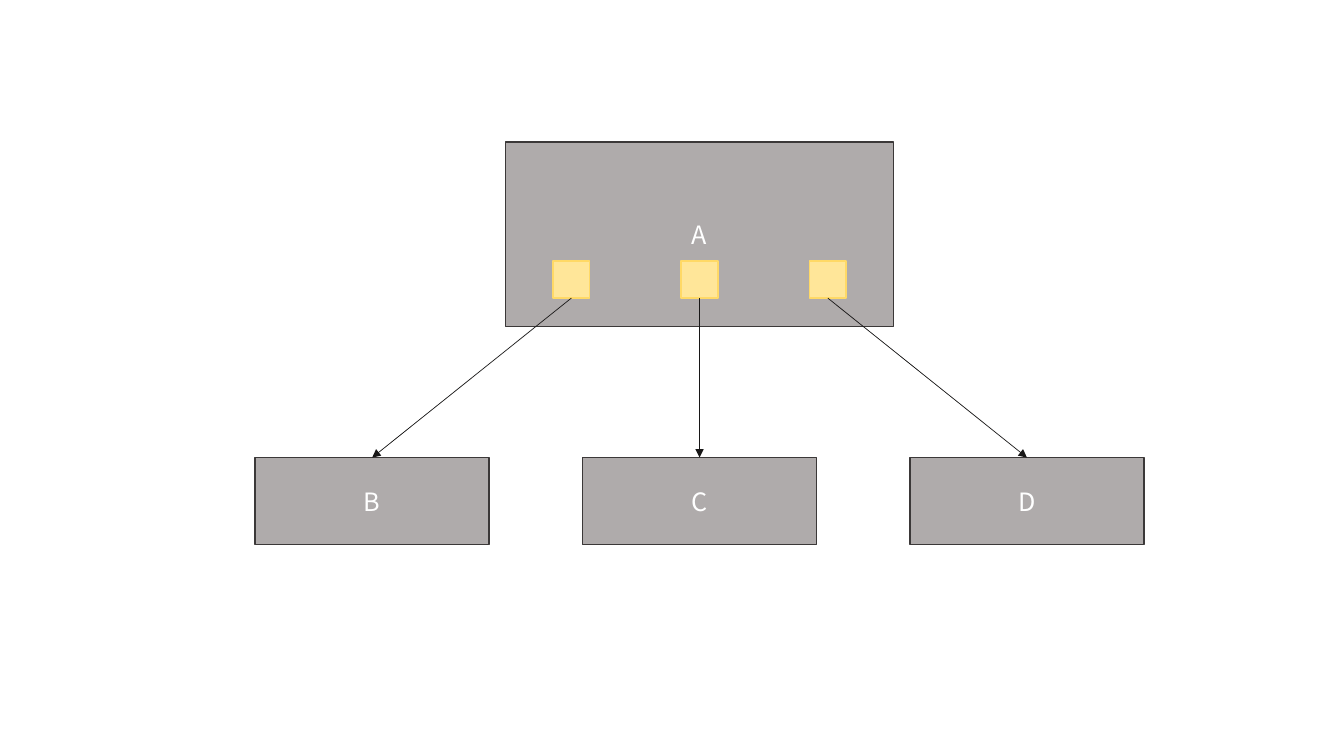
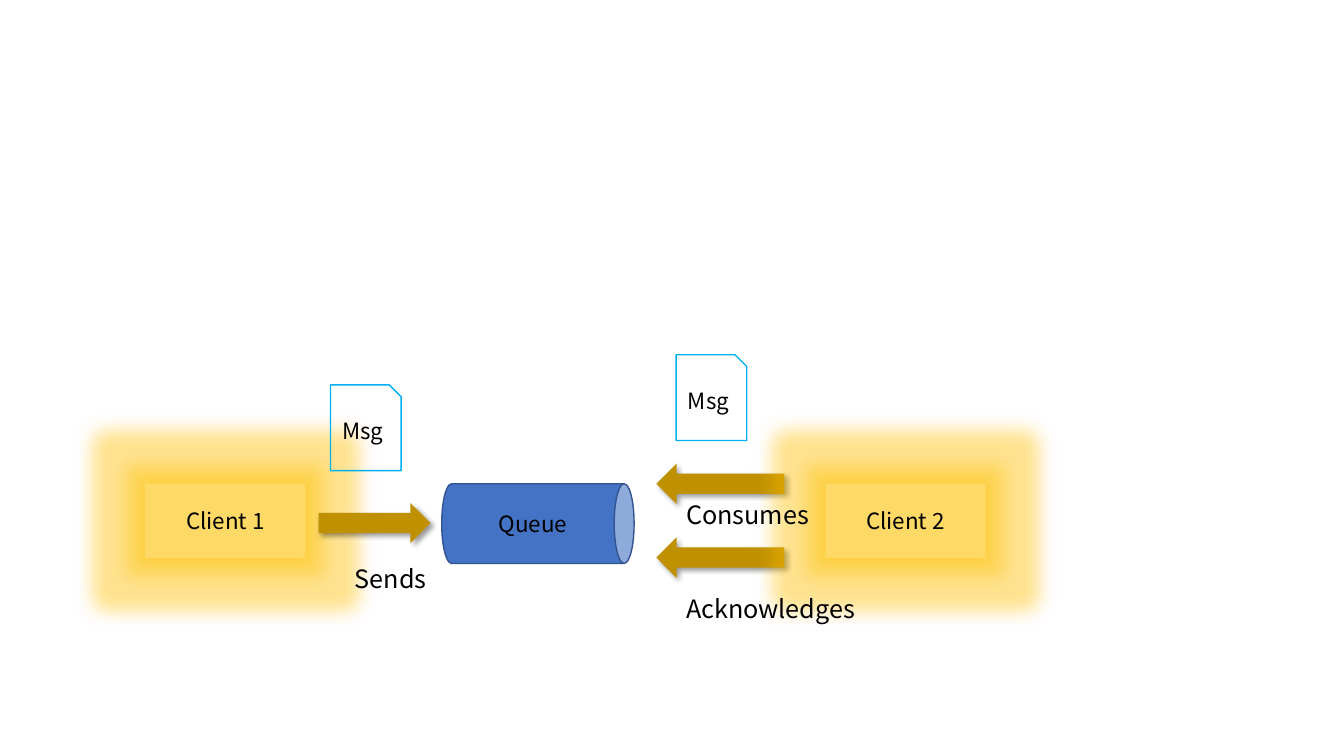
from dataclasses import dataclass

from lxml import etree
from pptx import Presentation
from pptx import util as u
from pptx.dml.color import RGBColor
from pptx.enum import shapes, text
from pptx.oxml.ns import qn


@dataclass(frozen=True)
class Theme:
    font: str = "Noto Sans CJK SC"
    label: int = 18
    small: int = 16
    white: str = "FFFFFF"
    black: str = "000000"
    grey: str = "AFABAB"
    grey_line: str = "3B3838"
    port: str = "FFE699"
    amber: str = "FFD966"
    glow: str = "FFC000"
    link: str = "181717"
    queue: str = "4472C4"
    queue_line: str = "325491"
    page_line: str = "00B0F0"
    arrow: str = "BF9000"


T = Theme()
KIND = shapes.MSO_SHAPE


def rgb(code):
    return RGBColor.from_string(code)


def write(sp, words, size=T.label, color=T.black, align=text.PP_ALIGN.CENTER,
          anchor=text.MSO_ANCHOR.MIDDLE):
    tf = sp.text_frame
    tf.word_wrap = True
    tf.vertical_anchor = anchor
    p = tf.paragraphs[0]
    p.alignment = align
    r = p.add_run()
    r.text = words
    r.font.name = T.font
    r.font.size = u.Pt(size)
    r.font.color.rgb = rgb(color)


def add_box(s, kind, left, top, width, height, fill=None, line=None):
    sp = s.shapes.add_shape(kind, u.Cm(left), u.Cm(top), u.Cm(width), u.Cm(height))
    sp.shadow.inherit = False
    if fill:
        sp.fill.solid()
        sp.fill.fore_color.rgb = rgb(fill)
    else:
        sp.fill.background()
    if line:
        sp.line.color.rgb = rgb(line)
        sp.line.width = u.Pt(1)
    else:
        sp.line.fill.background()
    return sp


def add_effect(sp, tag, color, alpha, **attrs):
    """Append a glow or shadow; alpha is the opacity in percent."""
    effects = sp._element.spPr.find(qn("a:effectLst"))
    effect = etree.SubElement(effects, qn(tag), {k: str(v) for k, v in attrs.items()})
    clr = etree.SubElement(effect, qn("a:srgbClr"), val=color)
    etree.SubElement(clr, qn("a:alpha"), val=str(alpha * 1000))


def add_node(s, name, center, top, width, height):
    sp = add_box(s, KIND.RECTANGLE, center - width / 2, top, width, height,
                 T.grey, T.grey_line)
    write(sp, name, color=T.white)
    return sp


def add_link(s, source, target):
    """Arrow from the bottom of source to the top of target."""
    cx = s.shapes.add_connector(shapes.MSO_CONNECTOR.STRAIGHT, 0, 0, 0, 0)
    cx.begin_connect(source, 2)
    cx.end_connect(target, 0)
    cx.line.color.rgb = rgb(T.link)
    cx.line.width = u.Pt(0.5)
    etree.SubElement(cx.line._get_or_add_ln(), qn("a:tailEnd"), type="triangle")
    etree.SubElement(cx._element.spPr, qn("a:effectLst"))


def add_client(s, name, left):
    sp = add_box(s, KIND.RECTANGLE, left, 12.18, 4.04, 1.88, T.amber)
    add_effect(sp, "a:glow", T.glow, 40, rad=u.Pt(26))
    add_effect(sp, "a:outerShdw", T.glow, 50, blurRad=u.Pt(9), dist=0, dir=0)
    write(sp, name, T.small)


def add_queue(s):
    sp = add_box(s, KIND.CAN, 12.55, 10.77, 2.01, 4.85, T.queue, T.queue_line)
    sp.rotation = 90
    write(sp, "Queue", T.small)
    sp.text_frame._txBody.bodyPr.set("vert", "vert270")


def add_message(s, left, top):
    sp = add_box(s, KIND.SNIP_1_RECTANGLE, left, top, 1.78, 2.16, line=T.page_line)
    write(sp, "Msg", T.small)


def add_arrow(s, left, top, width, rotation=0):
    sp = add_box(s, KIND.RIGHT_ARROW, left, top, width, 1.02, T.arrow)
    sp.rotation = rotation
    add_effect(sp, "a:outerShdw", T.black, 40, blurRad=u.Pt(4), dist=u.Pt(3),
               dir=45 * 60000, algn="tl", rotWithShape=0)


def add_label(s, words, left, top, width):
    sp = s.shapes.add_textbox(u.Cm(left), u.Cm(top), u.Cm(width), u.Cm(1.02))
    write(sp, words, align=text.PP_ALIGN.LEFT, anchor=text.MSO_ANCHOR.TOP)
    sp.text_frame.auto_size = text.MSO_AUTO_SIZE.SHAPE_TO_FIT_TEXT


def build_tree(s):
    center, port_pitch, child_pitch, port = 17.63, 3.23, 8.25, 0.93
    steps = (-1, 0, 1)
    add_node(s, "A", center, 3.58, 9.78, 4.65)
    ports = [add_box(s, KIND.RECTANGLE, center + i * port_pitch - port / 2, 6.58,
                     port, port, T.port, T.amber) for i in steps]
    children = [add_node(s, name, center + i * child_pitch, 11.53, 5.9, 2.2)
                for i, name in zip(steps, "BCD")]
    for source, target in zip(ports, children):
        add_link(s, source, target)


def build_queue_flow(s):
    add_client(s, "Client 1", 3.66)
    add_queue(s)
    add_arrow(s, 8.03, 12.67, 2.82)
    for top in (11.68, 13.54):
        add_arrow(s, 16.54, top, 3.23, rotation=180)
    add_client(s, "Client 2", 20.8)
    for left, top in ((17.04, 8.94), (8.33, 9.7)):
        add_message(s, left, top)
    add_label(s, "Sends", 8.69, 14.07, 2.82)
    add_label(s, "Consumes", 17.04, 12.47, 3.96)
    add_label(s, "Acknowledges", 17.04, 14.83, 5.31)


def main():
    prs = Presentation()
    prs.slide_width, prs.slide_height = u.Cm(33.87), u.Cm(19.05)
    for build in (build_tree, build_queue_flow):
        build(prs.slides.add_slide(prs.slide_layouts[6]))
    prs.save("out.pptx")


if __name__ == "__main__":
    main()
